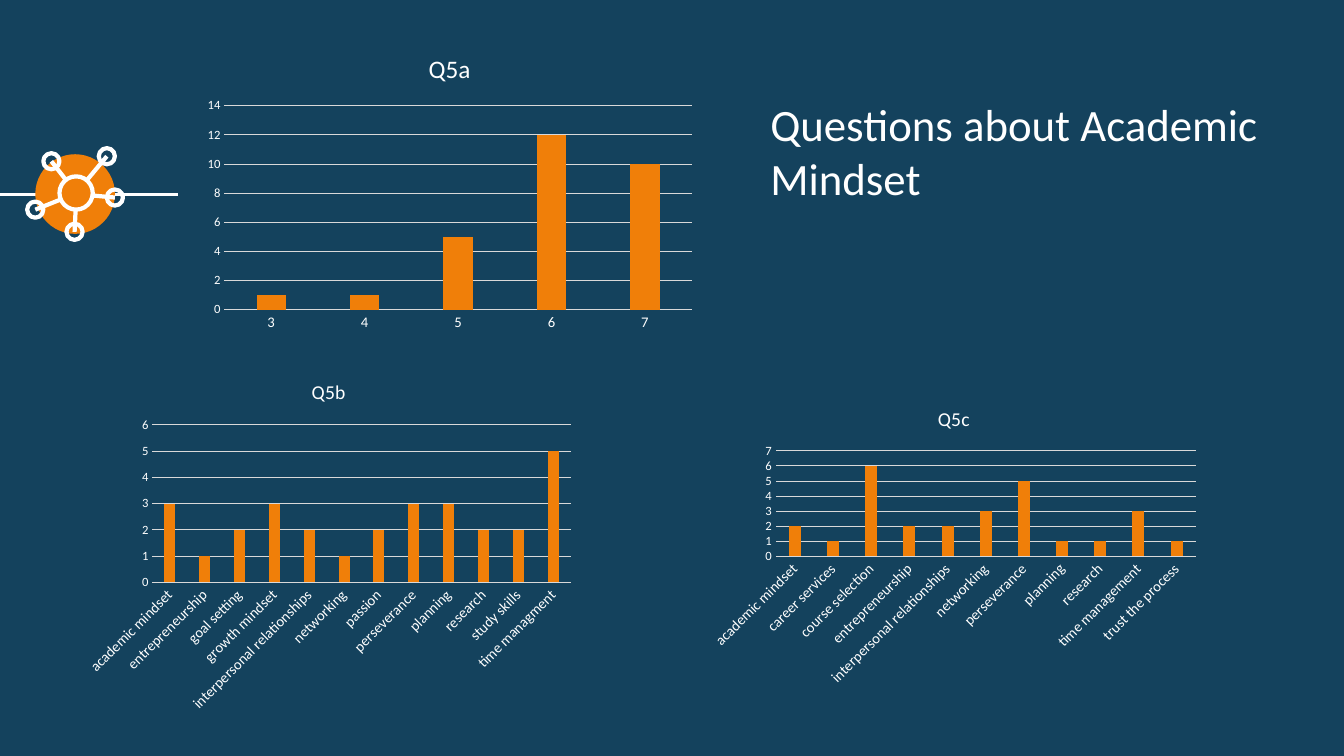
from pptx import Presentation
from pptx.chart.data import CategoryChartData
from pptx.dml.color import RGBColor
from pptx.enum.chart import XL_CHART_TYPE as ChartType, XL_TICK_MARK as TickMark
from pptx.enum.shapes import MSO_CONNECTOR as Connector, MSO_SHAPE as Shape
from pptx.enum.text import MSO_ANCHOR as Anchor, MSO_AUTO_SIZE as AutoSize, PP_ALIGN as Align
from pptx.oxml.ns import qn
from pptx.util import Inches, Pt
from lxml import etree

NAVY = RGBColor(0x14, 0x42, 0x5D)
ORANGE = RGBColor(0xF0, 0x7F, 0x09)
WHITE = RGBColor(0xFF, 0xFF, 0xFF)
GRID = RGBColor(0xD9, 0xD9, 0xD9)

HUB = (0.755, 1.915)
NODES = [
    ((1.06, 1.55), (0.86, 1.79)),
    ((0.51, 1.6), (0.65, 1.78)),
    ((0.35, 2.08), (0.6, 1.98)),
    ((0.74, 2.3), (0.75, 2.08)),
    ((1.14, 1.96), (0.92, 1.94)),
]

MINDSET_COUNTS = {"3": 1, "4": 1, "5": 5, "6": 12, "7": 10}
TOPIC_COUNTS = {
    "academic mindset": 3, "entrepreneurship": 1, "goal setting": 2,
    "growth mindset": 3, "interpersonal relationships": 2, "networking": 1,
    "passion": 2, "perseverance": 3, "planning": 3, "research": 2,
    "study skills": 2, "time managment": 5,
}
SUPPORT_COUNTS = {
    "academic mindset": 2, "career services": 1, "course selection": 6,
    "entrepreneurship": 2, "interpersonal relationships": 2, "networking": 3,
    "perseverance": 5, "planning": 1, "research": 1, "time management": 3,
    "trust the process": 1,
}


class SlideBuilder:
    """Draws styled elements on the current slide."""

    font_name = "Calibri"

    def __init__(self, slide):
        self.slide = slide
        slide.background.fill.solid()
        slide.background.fill.fore_color.rgb = NAVY

    def style_font(self, font, size):
        font.name = self.font_name
        font.size = Pt(size)
        font.bold = False
        font.color.rgb = WHITE

    def title(self, text, left, top, width, height):
        shape = self.slide.shapes.title
        shape.left, shape.top = Inches(left), Inches(top)
        shape.width, shape.height = Inches(width), Inches(height)
        frame = shape.text_frame
        frame.text = text
        frame.word_wrap = False
        frame.auto_size = AutoSize.SHAPE_TO_FIT_TEXT
        frame.vertical_anchor = Anchor.TOP
        for paragraph in frame.paragraphs:
            paragraph.alignment = Align.LEFT
            for run in paragraph.runs:
                self.style_font(run.font, 32)

    def line(self, start, end, weight):
        connector = self.slide.shapes.add_connector(
            Connector.STRAIGHT, *(Inches(value) for value in (*start, *end)))
        connector.line.color.rgb = WHITE
        connector.line.width = Pt(weight)
        etree.SubElement(connector._element.spPr, qn("a:effectLst"))

    def circle(self, center, diameter, fill=None):
        left, top = (Inches(value - diameter / 2) for value in center)
        shape = self.slide.shapes.add_shape(
            Shape.OVAL, left, top, Inches(diameter), Inches(diameter))
        shape.shadow.inherit = False
        if fill is None:
            shape.fill.background()
            shape.line.color.rgb = WHITE
            shape.line.width = Pt(3)
        else:
            shape.fill.solid()
            shape.fill.fore_color.rgb = fill
            shape.line.fill.background()

    def column_chart(self, title, counts, box, title_size, maximum, step, rotation):
        data = CategoryChartData()
        data.categories = list(counts)
        data.add_series("Series 1", list(counts.values()))
        chart = self.slide.shapes.add_chart(
            ChartType.COLUMN_CLUSTERED, *(Inches(value) for value in box), data).chart
        self.style_font(chart.font, 10)
        chart.has_legend = False
        chart.has_title = True
        chart.chart_title.include_in_layout = False
        chart.chart_title.text_frame.text = title
        self.style_font(chart.chart_title.text_frame.paragraphs[0].runs[0].font, title_size)

        plot = chart.plots[0]
        plot.gap_width, plot.overlap = 219, -27
        plot.vary_by_categories = False
        fill = plot.series[0].format.fill
        fill.solid()
        fill.fore_color.rgb = ORANGE

        categories, values = chart.category_axis, chart.value_axis
        for axis, size in ((categories, 10.5), (values, 9)):
            axis.major_tick_mark = axis.minor_tick_mark = TickMark.NONE
            self.style_font(axis.tick_labels.font, size)
        body = categories._element.find(qn("c:txPr")).find(qn("a:bodyPr"))
        body.set("rot", str(rotation * 60000))
        values.minimum_scale, values.maximum_scale = 0, maximum
        values.major_unit = step
        values.has_major_gridlines = True
        values.format.line.fill.background()
        for line in (categories.format.line, values.major_gridlines.format.line):
            line.color.rgb = GRID
            line.width = Pt(0.75)


def main():
    presentation = Presentation()
    presentation.slide_width, presentation.slide_height = Inches(13.33), Inches(7.5)
    builder = SlideBuilder(presentation.slides.add_slide(presentation.slide_layouts[5]))

    builder.line((0, 1.93), (1.77, 1.93), 2.25)
    builder.circle((0.745, 1.925), 0.79, ORANGE)
    for node, hub_edge in NODES:
        builder.circle(node, 0.16)
        builder.line(node, hub_edge, 3)
    builder.circle(HUB, 0.33)

    builder.column_chart("Q5a", MINDSET_COUNTS, (1.96, 0.35, 5, 3), 18, 14, 2, 0)
    builder.column_chart("Q5b", TOPIC_COUNTS, (0.76, 3.59, 5, 3.55), 14, 6, 1, -45)
    builder.column_chart("Q5c", SUPPORT_COUNTS, (6.96, 3.87, 5, 3), 14, 7, 1, -45)
    builder.title("Questions about Academic\nMindset", 7.54, 0.91, 5.19, 1.18)

    presentation.save("out.pptx")


if __name__ == "__main__":
    main()
